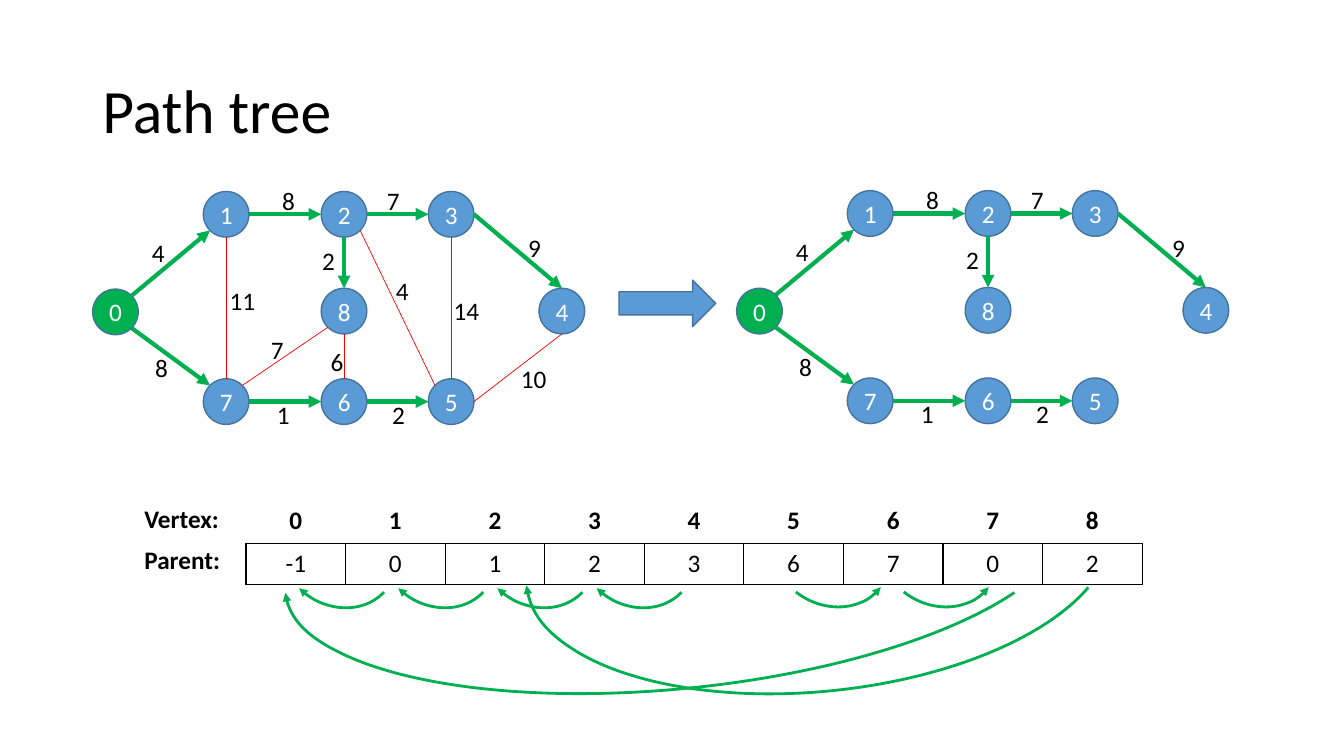
from math import cos, radians, sin

from lxml import etree
from pptx import Presentation
from pptx.dml.color import RGBColor
from pptx.enum.shapes import MSO_CONNECTOR, MSO_SHAPE
from pptx.enum.text import MSO_ANCHOR, PP_ALIGN
from pptx.oxml.ns import qn
from pptx.util import Cm, Pt

BLACK = RGBColor(0x00, 0x00, 0x00)
WHITE = RGBColor(0xFF, 0xFF, 0xFF)
GREEN = RGBColor(0x00, 0xB0, 0x50)
BLUE = RGBColor(0x5B, 0x9B, 0xD5)
NAVY = RGBColor(0x43, 0x73, 0x9E)
RED = RGBColor(0xFF, 0x00, 0x00)

RADIUS = 0.575
VERTICES = [(2.91, 7.86), (5.7, 5.4), (8.67, 5.4), (11.37, 5.4), (14.16, 7.84),
            (11.37, 10.12), (8.67, 10.12), (5.7, 10.12), (8.67, 7.84)]
PARENTS = [-1, 0, 1, 2, 3, 6, 7, 0, 2]
ANGLES = {"E": 0, "SE": 45, "S": 90, "SW": 135, "W": 180, "NW": 225, "N": 270, "NE": 315}

# start vertex, side, end vertex, side, weight, label left, label top
TREE_EDGES = [
    (0, "NE", 1, "SW", 4, 3.58, 5.85),
    (0, "SE", 7, "NW", 8, 3.66, 8.76),
    (1, "E", 2, "W", 8, 6.86, 4.55),
    (2, "E", 3, "W", 7, 9.5, 4.55),
    (3, "E", 4, "N", 9, 13.06, 5.74),
    (6, "E", 5, "W", 2, 9.63, 9.93),
    (7, "E", 6, "W", 1, 6.73, 9.93),
    (2, "S", 8, "N", 2, 7.87, 6.05),
]
OTHER_EDGES = [
    (5, "E", 4, "S", 10, 12.88, 9.04),
    (1, "S", 7, "N", 11, 5.54, 7.06),
    (3, "S", 5, "N", 14, 11.18, 7.32),
    (2, "SE", 5, "NW", 4, 9.73, 6.81),
    (8, "S", 6, "N", 6, 8.08, 8.59),
    (7, "NE", 8, "SW", 7, 6.58, 8.31),
]


def write(frame, text, size=18, color=BLACK, bold=False, align=PP_ALIGN.LEFT):
    para = frame.paragraphs[0]
    para.alignment = align
    span = para.add_run()
    span.text = str(text)
    span.font.name = "Calibri"
    span.font.size = Pt(size)
    span.font.bold = bold
    span.font.color.rgb = color


def outline(shape, color, width, arrow=None):
    """Set the line without a shadow; arrow is headEnd or tailEnd."""
    shape.line.color.rgb = color
    shape.line.width = Pt(width)
    properties = shape._element.spPr
    if arrow:
        etree.SubElement(properties.find(qn("a:ln")), qn(f"a:{arrow}"), type="triangle")
    etree.SubElement(properties, qn("a:effectLst"))


deck = Presentation()
deck.slide_width = Cm(33.87)
deck.slide_height = Cm(19.05)
page = deck.slides.add_slide(deck.slide_layouts[6])

title = page.shapes.add_textbox(Cm(2.33), Cm(1.01), Cm(29.21), Cm(3.68)).text_frame
title.word_wrap = True
title.vertical_anchor = MSO_ANCHOR.MIDDLE
write(title, "Path tree", size=44)
title.paragraphs[0].line_spacing = 0.9

# The full graph on the left, its path tree on the right
for shift_x, shift_y, other_edges in [(0, 0, OTHER_EDGES), (16.23, -0.02, [])]:
    graph = page.shapes.add_group_shape().shapes
    centers = [(x + shift_x, y + shift_y) for x, y in VERTICES]
    for number, (x, y) in enumerate(centers):
        node = graph.add_shape(MSO_SHAPE.OVAL, Cm(x - RADIUS), Cm(y - RADIUS),
                               Cm(2 * RADIUS), Cm(2 * RADIUS))
        node.fill.solid()
        node.fill.fore_color.rgb = BLUE if number else GREEN
        outline(node, NAVY, 1)
        node.text_frame.vertical_anchor = MSO_ANCHOR.MIDDLE
        write(node.text_frame, number, color=WHITE, align=PP_ALIGN.CENTER)

    for edge in TREE_EDGES + other_edges:
        start, start_side, end, end_side, weight, label_x, label_y = edge
        ends = []
        for vertex, side in [(start, start_side), (end, end_side)]:
            x, y = centers[vertex]
            angle = radians(ANGLES[side])
            ends += [Cm(x + RADIUS * cos(angle)), Cm(y + RADIUS * sin(angle))]
        link = graph.add_connector(MSO_CONNECTOR.STRAIGHT, *ends)
        if edge in TREE_EDGES:
            outline(link, GREEN, 3, "tailEnd")
        else:
            outline(link, RED, 0.5)
        label = graph.add_textbox(Cm(label_x + shift_x), Cm(label_y + shift_y),
                                  Cm(0.84 if weight < 10 else 1.17), Cm(1.02))
        label.text_frame.word_wrap = False
        write(label.text_frame, weight)

block_arrow = page.shapes.add_shape(MSO_SHAPE.RIGHT_ARROW, Cm(15.6), Cm(7.06), Cm(2.44), Cm(1.17))
block_arrow.fill.solid()
block_arrow.fill.fore_color.rgb = BLUE
outline(block_arrow, NAVY, 1)

# Vertex numbers above the bordered row of parents
for caption, caption_y, top, values, is_header in [
    ("Vertex:", 12.57, 12.62, range(len(PARENTS)), True),
    ("Parent:", 13.59, 13.69, PARENTS, False),
]:
    box = page.shapes.add_textbox(Cm(3.39), Cm(caption_y), Cm(2.42), Cm(1.02))
    box.text_frame.word_wrap = False
    write(box.text_frame, caption, bold=True)
    table = page.shapes.add_table(1, len(values), Cm(6.2), Cm(top),
                                  Cm(2.51 * len(values)), Cm(1.04)).table
    table.first_row = False
    table.horz_banding = False
    for cell, value in zip(table.iter_cells(), values):
        write(cell.text_frame, value, bold=is_header, align=PP_ALIGN.CENTER)
        if not is_header:
            for side in ("lnL", "lnR", "lnT", "lnB"):
                border = etree.SubElement(cell._tc.get_or_add_tcPr(), qn(f"a:{side}"),
                                          w=str(Pt(1)))
                fill = etree.SubElement(border, qn("a:solidFill"))
                etree.SubElement(fill, qn("a:srgbClr"), val=str(BLACK))
        cell.fill.background()

# Curved arrows from each vertex to its parent
short_arcs = [(7.1 + 2.5 * i, 12.19, 2.82, 3.23, 133.8, "tailEnd") for i in range(4)]
short_arcs += [(x, 12.19, 2.82, 3.23, 127.9, "headEnd") for x in (19.51, 22.23)]
long_arcs = [(7.14, 10.52, 19.86, 6.83, 174.2, "tailEnd"),
             (13.23, 10.59, 14.81, 6.83, 174.2, "tailEnd")]
for parent_arc in short_arcs + long_arcs:
    *frame, rotation, arrow = parent_arc
    arc = page.shapes.add_shape(MSO_SHAPE.ARC, *map(Cm, frame))
    arc.rotation = rotation
    if parent_arc in long_arcs:
        arc.adjustments[0] = 115.49
    arc.fill.background()
    outline(arc, GREEN, 2, arrow)

deck.save("out.pptx")
